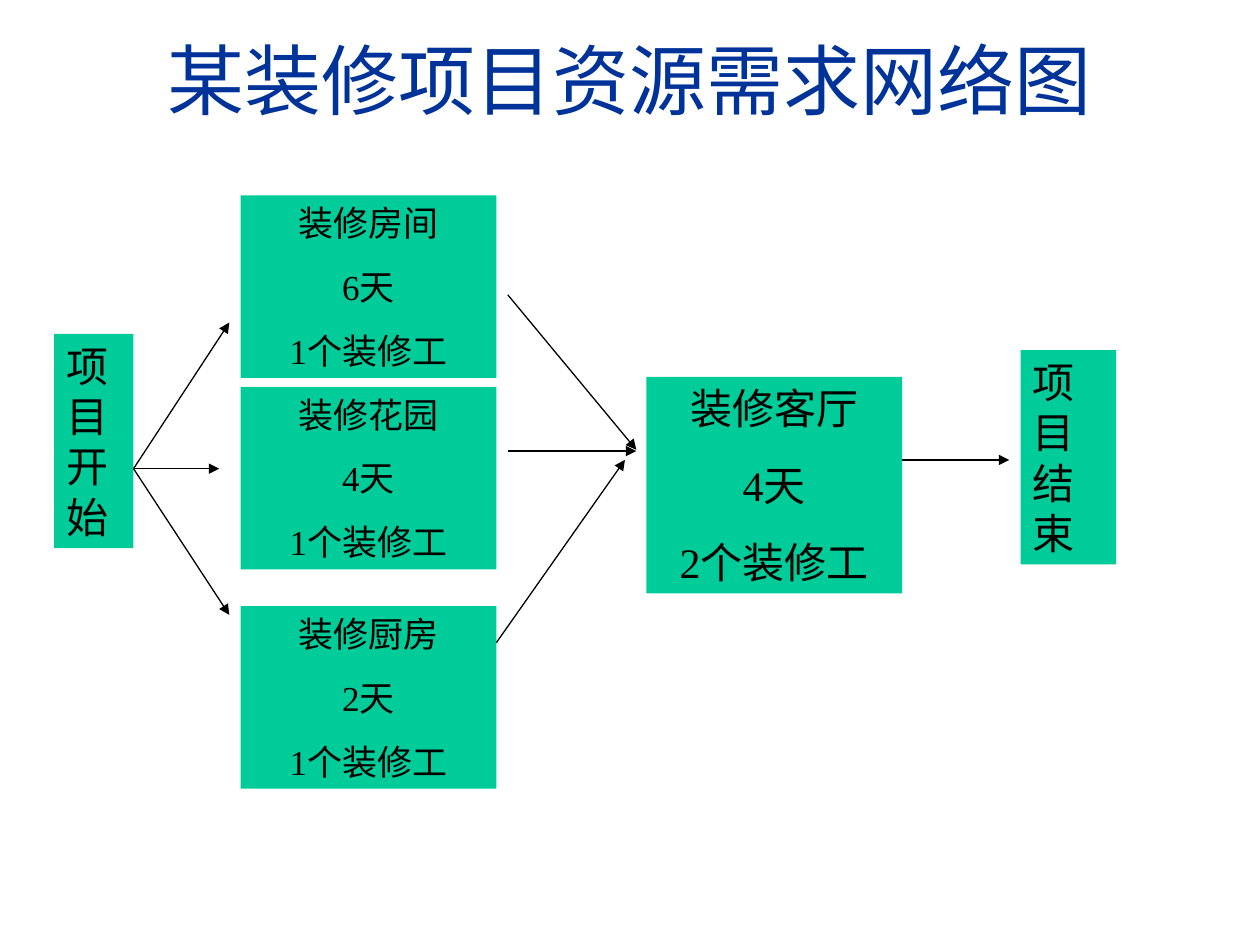
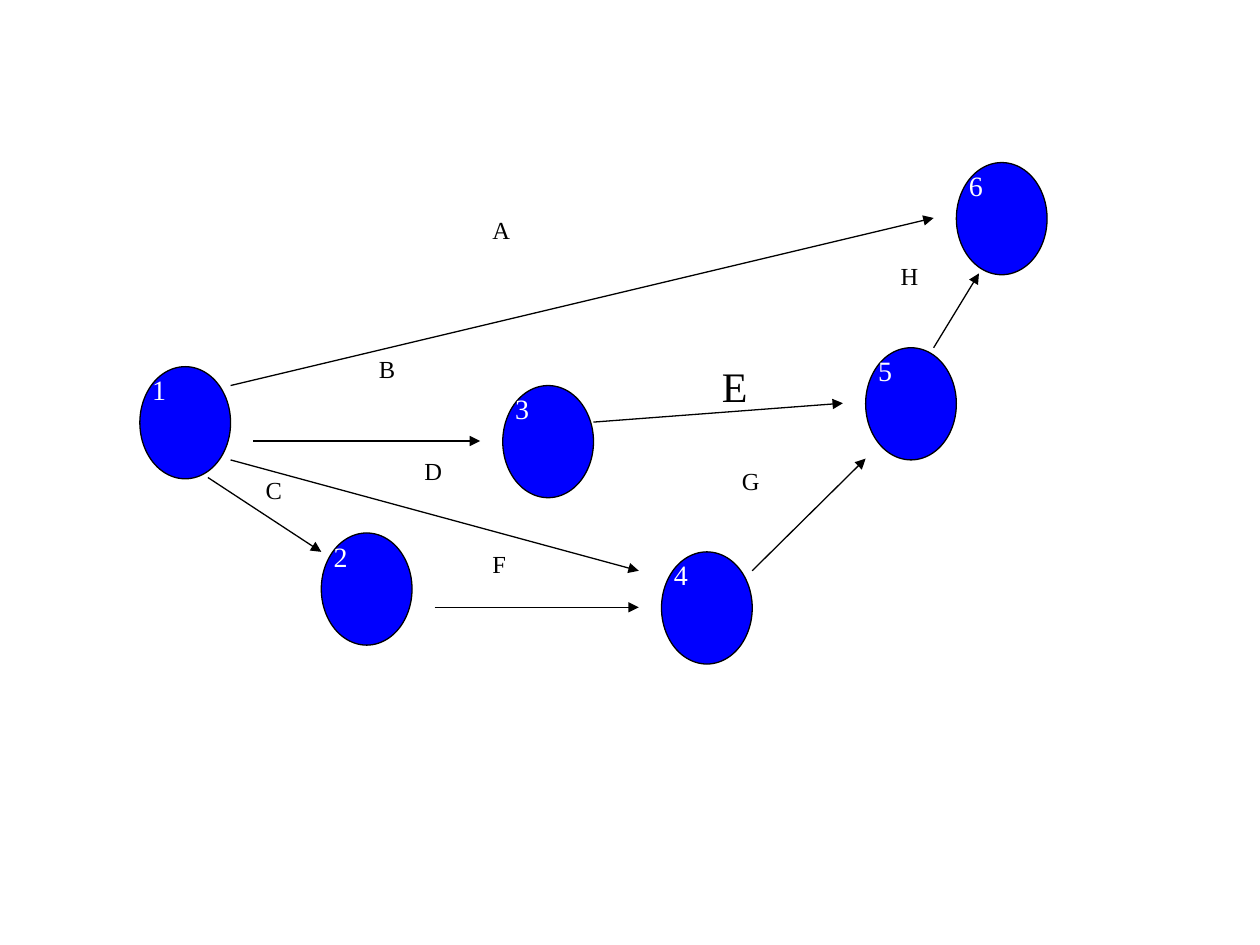
from lxml.etree import SubElement
from pptx import Presentation
from pptx.dml.color import RGBColor
from pptx.enum.shapes import MSO_CONNECTOR as Connector, MSO_SHAPE as Shape
from pptx.enum.text import MSO_ANCHOR as Anchor, PP_ALIGN as Align
from pptx.oxml.ns import qn
from pptx.util import Inches, Pt

COLORS = {"title": "003399", "task": "00CC99", "node": "0000FF",
          "ink": "000000", "light": "FFFFFF"}
FONT = "Times New Roman"

# Slide 1: renovation network
TITLE = "某装修项目资源需求网络图"
TASK_WIDTH = 2.03
PARALLEL_LEFT, PARALLEL_HEIGHT = 1.91, 1.45
PARALLEL_TASKS = [  # top, lines
    (1.55, ["装修房间", "6天", "1个装修工"]),
    (3.07, ["装修花园", "4天", "1个装修工"]),
    (4.81, ["装修厨房", "2天", "1个装修工"]),
]
LIVING_ROOM = ((5.13, 2.99, TASK_WIDTH, 1.72), ["装修客厅", "4天", "2个装修工"])
MILESTONES = [  # frame, text
    ((0.43, 2.65, 0.63, 1.7), "项目开始"),
    ((8.1, 2.78, 0.76, 1.7), "项目结束"),
]
START = (1.06, 3.72)
TASK_ARROWS = [
    (START, (1.82, 2.56)), (START, (1.74, 3.72)), (START, (1.82, 4.88)),
    ((4.03, 2.34), (5.05, 3.57)), ((4.03, 3.58), (5.05, 3.58)),
    ((3.94, 5.1), (4.96, 3.65)), ((7.16, 3.65), (8.01, 3.65)),
]

# Slide 2: arrow diagram
NODE_SIZE = (0.72, 0.89)
NODES = {"1": (1.11, 2.91), "2": (2.55, 4.23), "3": (3.99, 3.06),
         "4": (5.25, 4.38), "5": (6.87, 2.76), "6": (7.59, 1.29)}
ACTIVITIES = [  # name, label corner, arrow start, arrow end
    ("A", (3.81, 1.66), (1.83, 3.06), (7.41, 1.73)),
    ("B", (2.91, 2.76), (2.01, 3.5), (3.81, 3.5)),
    ("C", (2.01, 3.72), (1.65, 3.79), (2.55, 4.38)),
    ("D", (3.27, 3.57), (1.83, 3.65), (5.07, 4.53)),
    ("E", (5.63, 2.81), (4.71, 3.35), (6.69, 3.2)),
    ("F", (3.81, 4.31), (3.45, 4.82), (5.07, 4.82)),
    ("G", (5.79, 3.65), (5.97, 4.53), (6.87, 3.64)),
    ("H", (7.05, 2.02), (7.41, 2.76), (7.77, 2.17)),
]


def color(name):
    return RGBColor.from_string(COLORS[name])


def inches(values):
    return [Inches(value) for value in values]


def write(box, lines, size=24, ink="ink", align=Align.LEFT, gap=0, anchor=Anchor.TOP):
    """Write lines into a shape, with a gap in points between them."""
    frame = box.text_frame
    frame.word_wrap = True
    frame.vertical_anchor = anchor
    for index, line in enumerate(lines):
        para = frame.add_paragraph() if index else frame.paragraphs[0]
        para.alignment = align
        para.space_before = Pt(gap if index else 0)
        span = para.add_run()
        span.text = line
        span.font.name = FONT
        span.font.size = Pt(size)
        span.font.color.rgb = color(ink)


def add_label(page, frame, text, **style):
    write(page.shapes.add_textbox(*inches(frame)), [text], **style)


def add_block(page, kind, frame, fill, line=None):
    block = page.shapes.add_shape(kind, *inches(frame))
    block.shadow.inherit = False
    block.fill.solid()
    block.fill.fore_color.rgb = color(fill)
    if line:
        block.line.color.rgb = color(line)
        block.line.width = Pt(0.75)
    else:
        block.line.fill.background()
    return block


def add_arrow(page, start, end):
    arrow = page.shapes.add_connector(Connector.STRAIGHT, *inches(start + end))
    arrow.line.color.rgb = color("ink")
    arrow.line.width = Pt(0.75)
    SubElement(arrow.line._get_or_add_ln(), qn("a:tailEnd"), type="triangle")
    SubElement(arrow._element.spPr, qn("a:effectLst"))


def build_renovation_network(deck):
    page = deck.slides.add_slide(deck.slide_layouts[5])
    title = page.shapes.title
    title.left, title.top, title.width, title.height = inches((0.75, 0, 8.5, 1.25))
    write(title, [TITLE], size=44, ink="title", align=Align.CENTER, anchor=Anchor.MIDDLE)

    # Task and milestone boxes
    for frame, text in MILESTONES:
        write(add_block(page, Shape.RECTANGLE, frame, "task"), [text])
    tasks = [((PARALLEL_LEFT, top, TASK_WIDTH, PARALLEL_HEIGHT), lines, 20)
             for top, lines in PARALLEL_TASKS]
    for frame, lines, size in tasks + [(*LIVING_ROOM, 24)]:
        block = add_block(page, Shape.RECTANGLE, frame, "task")
        write(block, lines, size=size, align=Align.CENTER, gap=size * 0.625)

    for start, end in TASK_ARROWS:
        add_arrow(page, start, end)


def build_arrow_diagram(deck):
    page = deck.slides.add_slide(deck.slide_layouts[6])

    # Numbered events
    for number, corner in NODES.items():
        add_block(page, Shape.OVAL, corner + NODE_SIZE, "node", line="ink")
        add_label(page, corner + (0.72, 0.74), number, size=16, ink="light",
                  align=Align.JUSTIFY)

    # Activities; E is set larger
    for name, corner, start, end in ACTIVITIES:
        add_arrow(page, start, end)
        if name == "E":
            add_label(page, corner + (0.39, 0.5), name, size=24)
        else:
            add_label(page, corner + (0.54, 0.78), name, size=14, align=Align.JUSTIFY)


def main():
    deck = Presentation()
    deck.slide_width, deck.slide_height = Inches(10), Inches(7.5)
    build_renovation_network(deck)
    build_arrow_diagram(deck)
    deck.save("out.pptx")


if __name__ == "__main__":
    main()
